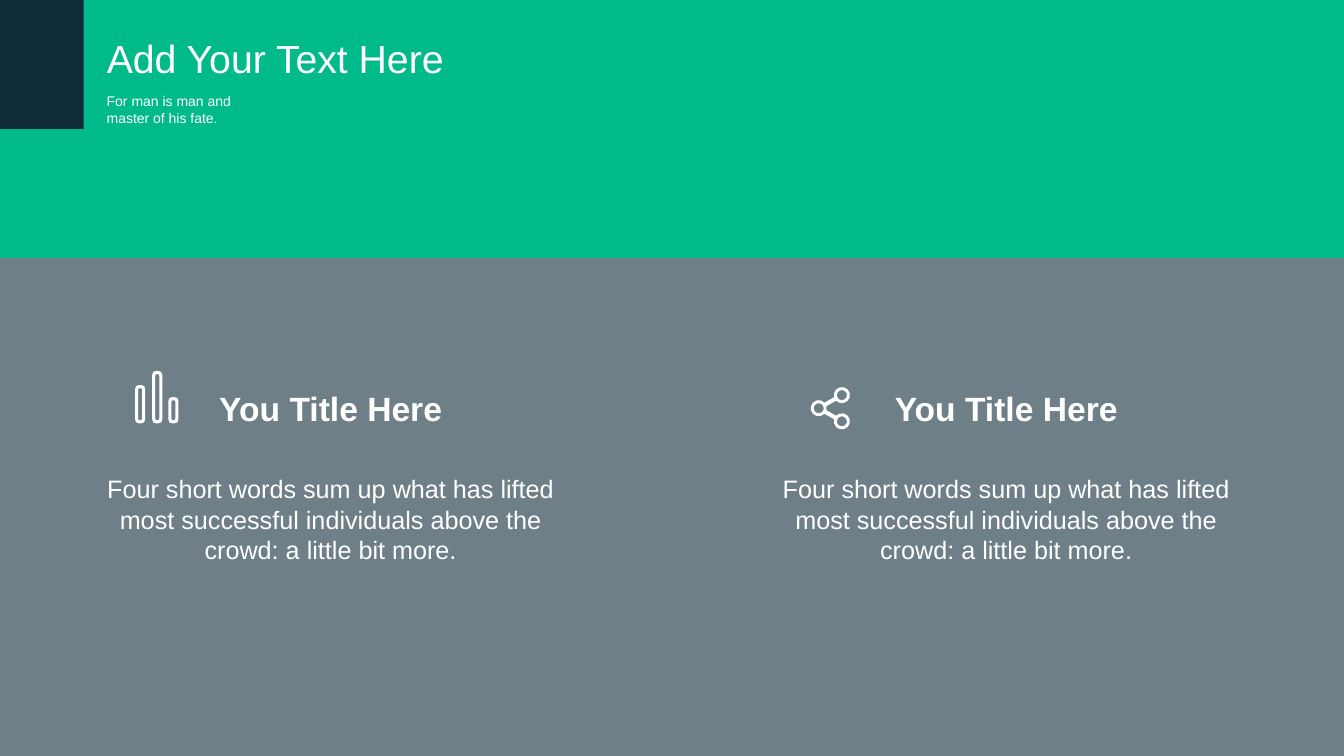
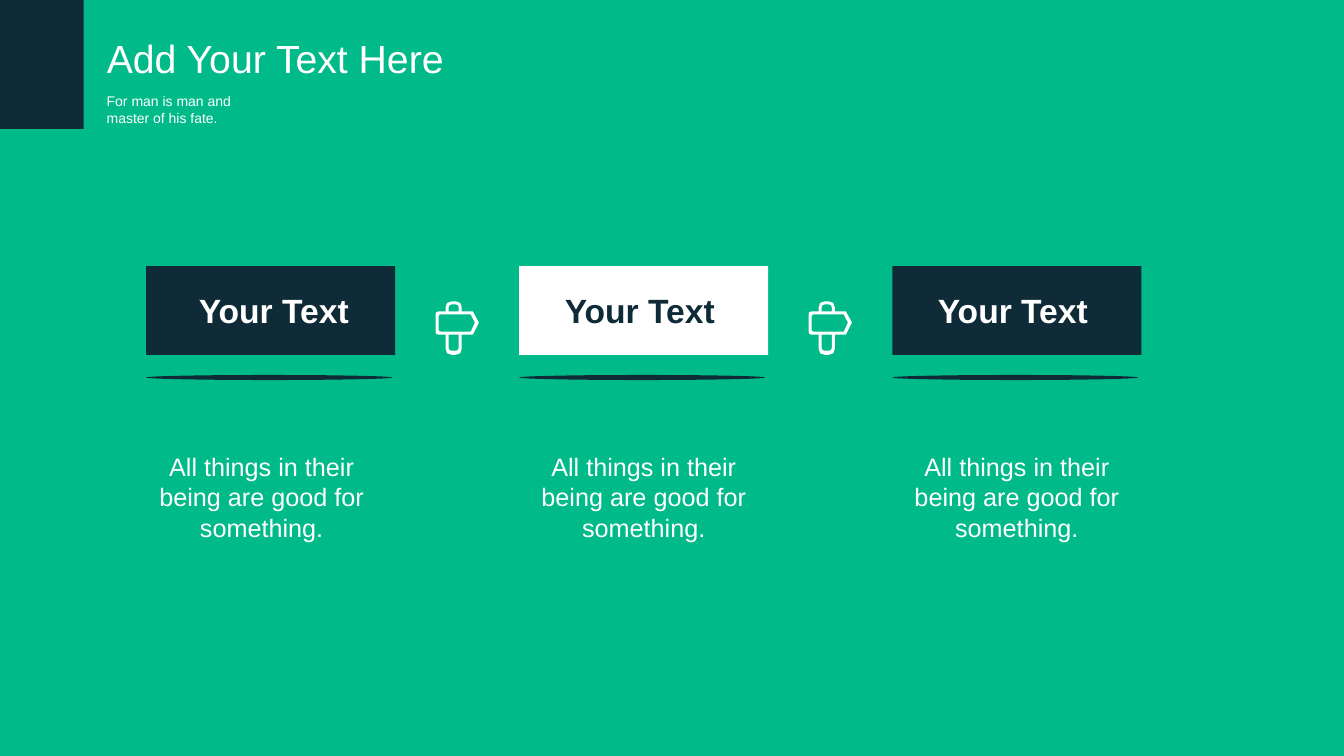
from dataclasses import dataclass
from math import asin, atan2, cos, degrees, hypot, radians, sin
from typing import Callable

from lxml import etree
from pptx import Presentation
from pptx.dml.color import RGBColor
from pptx.enum.shapes import MSO_SHAPE as Shape
from pptx.enum.text import MSO_ANCHOR as Anchor, MSO_AUTO_SIZE as AutoSize, PP_ALIGN as Align
from pptx.oxml.ns import qn
from pptx.util import Inches, Pt

Point = tuple[float, float]
Contour = list[Point]


@dataclass(frozen=True)
class Theme:
    font: str = "Arial"
    green: RGBColor = RGBColor(0x00, 0xBA, 0x89)
    navy: RGBColor = RGBColor(0x0F, 0x2B, 0x37)
    white: RGBColor = RGBColor(0xFF, 0xFF, 0xFF)
    title: int = 28
    heading: int = 24
    body: int = 18
    small: int = 10


THEME = Theme()
SLIDE_W, SLIDE_H, BAND_H = 13.33, 7.5, 2.56


@dataclass(frozen=True)
class Box:
    left: float
    top: float
    width: float
    height: float

    def emu(self) -> list[int]:
        return [Inches(v) for v in (self.left, self.top, self.width, self.height)]


@dataclass(frozen=True)
class Feature:
    left: float
    icon: Callable[[], list[Contour]]
    icon_top: float


@dataclass(frozen=True)
class Step:
    left: float
    fill: RGBColor
    color: RGBColor
    label_left: float
    caption_left: float


def add_block(s, box: Box, fill: RGBColor, kind=Shape.RECTANGLE, alpha: int = 100):
    sp = s.shapes.add_shape(kind, *box.emu())
    paint(sp, fill)
    if alpha < 100:
        color = sp.fill._xPr.find(qn("a:solidFill"))[0]
        etree.SubElement(color, qn("a:alpha"), val=str(alpha * 1000))


def paint(sp, fill: RGBColor):
    sp.shadow.inherit = False
    sp.fill.solid()
    sp.fill.fore_color.rgb = fill
    sp.line.fill.background()


def write(sp, text: str, size: int, color: RGBColor = THEME.white,
          align=Align.LEFT, bold: bool = False, wrap: bool = True):
    tf = sp.text_frame
    tf.text = text
    tf.word_wrap = wrap
    tf.auto_size = AutoSize.SHAPE_TO_FIT_TEXT
    tf.vertical_anchor = Anchor.TOP
    p = tf.paragraphs[0]
    p.alignment = align
    font = p.runs[0].font
    font.name, font.size, font.bold = THEME.font, Pt(size), bold
    font.color.rgb = color


def add_text(s, box: Box, text: str, size: int, **style):
    sp = s.shapes.add_textbox(*box.emu())
    write(sp, text, size, **style)
    return sp


def add_header(s):
    add_block(s, Box(0, 0, 0.83, 1.28), THEME.navy)
    title = s.shapes.title
    title.left, title.top, title.width, title.height = Box(0.96, 0.29, 3.57, 0.57).emu()
    write(title, "Add Your Text Here", THEME.title)
    s.shapes._spTree.append(title._element)  # above the bands
    add_text(s, Box(0.96, 0.87, 1.72, 0.44), "For man is man and master of his fate.", THEME.small)


def rounded(*corners: tuple[float, float, float]) -> Contour:
    """Polygon from (x, y, radius) corners."""
    points: Contour = []
    for i, (x, y, radius) in enumerate(corners):
        if not radius:
            points.append((x, y))
            continue
        ends = []
        for nx, ny, _ in (corners[i - 1], corners[(i + 1) % len(corners)]):
            k = radius / hypot(nx - x, ny - y)
            ends.append((x + k * (nx - x), y + k * (ny - y)))
        (ax, ay), (bx, by) = ends
        middle = ((ax + 2 * x + bx) / 4, (ay + 2 * y + by) / 4)
        points += [ends[0], middle, ends[1]]
    return points


def rounded_rect(x: float, y: float, right: float, bottom: float, r: float) -> Contour:
    return rounded((x, y, r), (right, y, r), (right, bottom, r), (x, bottom, r))


def arc(center: Point, r: float, start: float, end: float) -> Contour:
    count = max(1, round((end - start) / 30))
    angles = [radians(start + (end - start) * n / count) for n in range(count + 1)]
    return [(center[0] + r * cos(a), center[1] + r * sin(a)) for a in angles]


def bars_icon() -> list[Contour]:
    contours = []
    for x, top in ((0, 0.14), (0.17, 0), (0.33, 0.26)):
        contours.append(rounded_rect(x, top, x + 0.1, 0.52, 0.04))
        contours.append(rounded_rect(x + 0.03, top + 0.03, x + 0.07, 0.49, 0.02))
    return contours


def share_icon() -> list[Contour]:
    """Three rings joined by two links, traced as one outline with three holes."""
    r, hole, half_link = 0.08, 0.05, 0.02
    hub, upper, lower = (0.08, 0.21), (0.31, 0.08), (0.31, 0.34)
    tilt = degrees(atan2(lower[1] - hub[1], lower[0] - hub[0]))
    gap = degrees(asin(half_link / r))
    outline = (arc(upper, r, 180 - tilt + gap, 540 - tilt - gap)
               + arc(hub, r, gap - tilt, tilt - gap)
               + arc(lower, r, 180 + tilt + gap, 540 + tilt - gap)
               + arc(hub, r, tilt + gap, 360 - tilt - gap))
    return [outline] + [arc(center, hole, 0, 330) for center in (hub, upper, lower)]


def signpost_icon() -> list[Contour]:
    outline = rounded(
        (0.1, 0.1, 0), (0.1, 0, 0.06), (0.26, 0, 0.06), (0.26, 0.1, 0),
        (0.37, 0.1, 0), (0.43, 0.21, 0), (0.37, 0.33, 0), (0.26, 0.33, 0),
        (0.26, 0.53, 0.06), (0.1, 0.53, 0.06), (0.1, 0.33, 0),
        (0, 0.33, 0.03), (0, 0.1, 0.03))
    cap = rounded((0.13, 0.1, 0), (0.13, 0.03, 0.03), (0.23, 0.03, 0.03), (0.23, 0.1, 0))
    stem = rounded((0.23, 0.33, 0), (0.23, 0.49, 0.03), (0.13, 0.49, 0.03), (0.13, 0.33, 0))
    sign = rounded((0.03, 0.13, 0.02), (0.35, 0.13, 0), (0.39, 0.21, 0),
                   (0.35, 0.3, 0), (0.03, 0.3, 0.02))
    return [outline, cap, stem, sign]


def add_icon(s, left: float, top: float, contours: list[Contour]):
    builder = None
    for contour in contours:
        first, *rest = [(Inches(left + x), Inches(top + y)) for x, y in contour]
        if builder is None:
            builder = s.shapes.build_freeform(*first)
        else:
            builder.move_to(*first)
        builder.add_line_segments(rest, close=True)
    paint(builder.convert_to_shape(), THEME.white)


def add_feature(s, feature: Feature):
    x = feature.left
    add_icon(s, x + 0.38, feature.icon_top, feature.icon())
    add_text(s, Box(x + 1.1, 3.8, 2.44, 0.5), "You Title Here", THEME.heading,
             align=Align.CENTER, bold=True)
    add_text(s, Box(x, 4.65, 4.64, 1.01),
             "Four short words sum up what has lifted most successful individuals "
             "above the crowd: a little bit more.", THEME.body, align=Align.CENTER)


def add_step(s, step: Step):
    add_block(s, Box(step.left, 2.64, 2.47, 0.88), step.fill)
    label = add_text(s, Box(step.label_left, 2.83, 1.8, 0.5), "Your Text", THEME.heading,
                     color=step.color, align=Align.RIGHT, bold=True, wrap=False)
    label.text_frame.margin_right = Inches(0.19)
    add_block(s, Box(step.left, 3.72, 2.44, 0.05), THEME.navy, Shape.OVAL)
    add_text(s, Box(step.caption_left, 4.43, 2.63, 1.01),
             "All things in their being are good for something.",
             THEME.body, align=Align.CENTER)


def build_features(s):
    add_block(s, Box(0, BAND_H, SLIDE_W, SLIDE_H - BAND_H), THEME.navy, alpha=60)
    add_block(s, Box(0, 0, SLIDE_W, BAND_H), THEME.green)
    add_header(s)
    for feature in (Feature(0.96, bars_icon, 3.68), Feature(7.66, share_icon, 3.84)):
        add_feature(s, feature)


def build_steps(s):
    s.background.fill.solid()
    s.background.fill.fore_color.rgb = THEME.green
    add_header(s)
    steps = (Step(1.45, THEME.navy, THEME.white, 1.85, 1.28),
             Step(5.15, THEME.white, THEME.navy, 5.48, 5.07),
             Step(8.85, THEME.navy, THEME.white, 9.18, 8.77))
    for step in steps:
        add_step(s, step)
    for step in steps[:-1]:
        add_icon(s, step.left + 2.87, 2.99, signpost_icon())


def main():
    prs = Presentation()
    prs.slide_width, prs.slide_height = Inches(SLIDE_W), Inches(SLIDE_H)
    title_only = prs.slide_layouts[5]
    for build in (build_features, build_steps):
        build(prs.slides.add_slide(title_only))
    prs.save("out.pptx")


if __name__ == "__main__":
    main()
